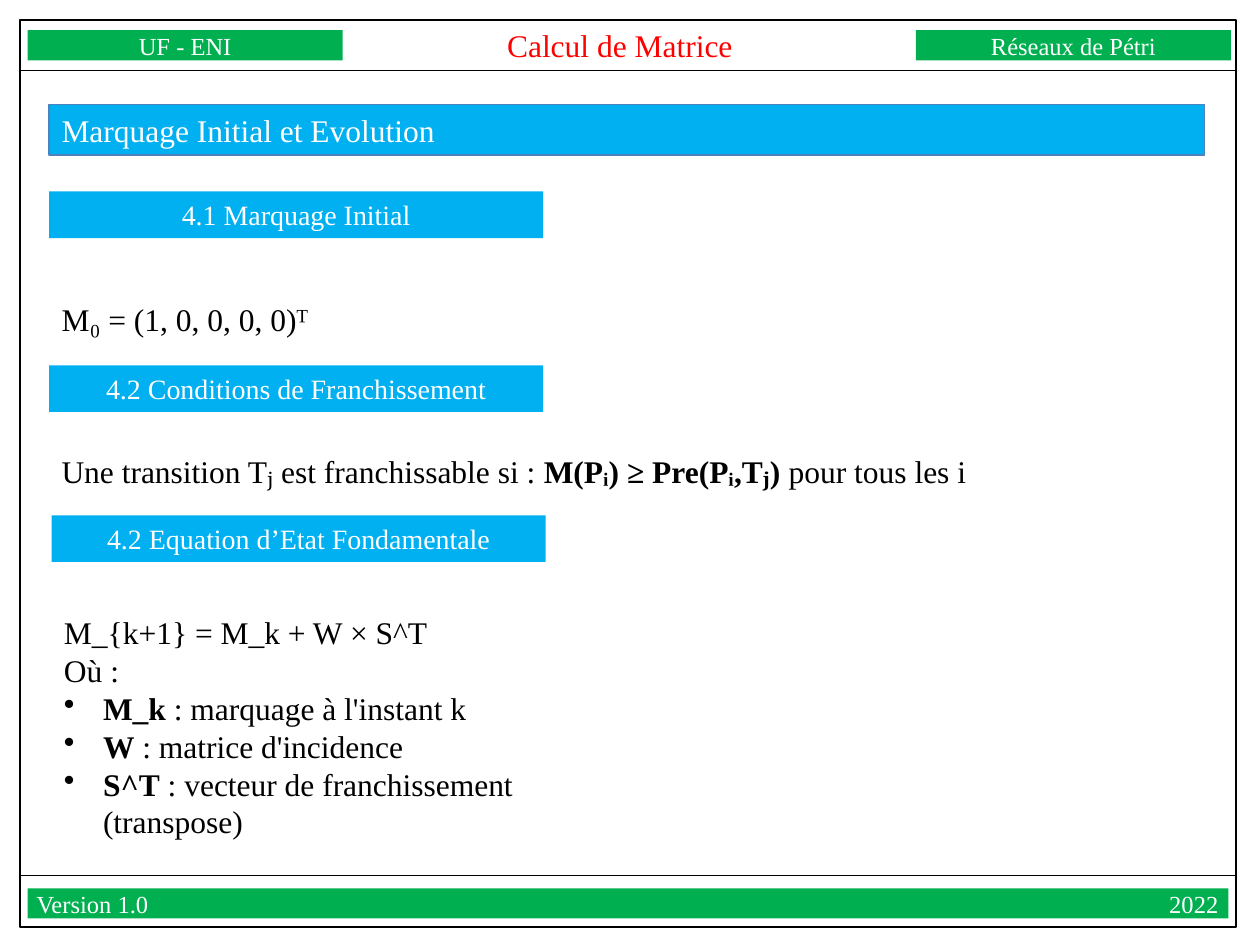
import pptx
import pptx.util
import pptx.dml.color
import pptx.enum.shapes
import pptx.enum.text
from dataclasses import dataclass
from lxml import etree
from pptx.oxml.ns import qn

Inches = pptx.util.Inches
Pt = pptx.util.Pt
Align = pptx.enum.text.PP_ALIGN
Anchor = pptx.enum.text.MSO_ANCHOR


@dataclass(frozen=True)
class Theme:
    font: str = "Times New Roman"
    green: str = "00B050"
    blue: str = "00B0F0"
    edge: str = "4F81BD"
    red: str = "FF0000"
    black: str = "000000"
    white: str = "FFFFFF"
    small: int = 14
    section: int = 16
    body: int = 18


theme = Theme()
color = pptx.dml.color.RGBColor.from_string

deck = pptx.Presentation()
deck.slide_width, deck.slide_height = Inches(10), Inches(7.5)
page = deck.slides.add_slide(deck.slide_layouts[6])


def add_bar(left, top, width, height, fill=None, line=None, weight=0.75):
    bar = page.shapes.add_shape(
        pptx.enum.shapes.MSO_SHAPE.RECTANGLE,
        Inches(left), Inches(top), Inches(width), Inches(height))
    bar.shadow.inherit = False
    if fill:
        bar.fill.solid()
        bar.fill.fore_color.rgb = color(fill)
    else:
        bar.fill.background()
    if line:
        bar.line.color.rgb = color(line)
        bar.line.width = Pt(weight)
    else:
        bar.line.fill.background()
    return bar


def write(box, lines, size, ink, align=Align.LEFT, spacing=None, tight=False):
    """Fill a box with lines of text; parts between ** marks are bold."""
    frame = box.text_frame
    frame.word_wrap = True
    frame.auto_size = pptx.enum.text.MSO_AUTO_SIZE.SHAPE_TO_FIT_TEXT
    frame.vertical_anchor = Anchor.MIDDLE if tight else Anchor.TOP
    if tight:
        frame.margin_left = frame.margin_right = 0
        frame.margin_top = frame.margin_bottom = 0
    for index, line in enumerate(lines):
        para = frame.paragraphs[0] if index == 0 else frame.add_paragraph()
        para.alignment = align
        if spacing and index == 0:
            para.line_spacing = spacing
        for part, words in enumerate(line.split("**")):
            if words:
                span = para.add_run()
                span.text = words
                span.font.name = theme.font
                span.font.size = Pt(size)
                span.font.bold = part % 2 == 1
                span.font.color.rgb = color(ink)


# Page frame and its two rules
add_bar(0.16, 0.16, 9.65, 7.2, line=theme.black, weight=1)
for y in (0.56, 6.95):
    rule = page.shapes.add_connector(
        pptx.enum.shapes.MSO_CONNECTOR.STRAIGHT,
        Inches(0.16), Inches(y), Inches(9.8), Inches(y))
    rule.line.color.rgb = color(theme.black)
    rule.line.width = Pt(0.75)
    etree.SubElement(rule._element.spPr, qn("a:effectLst"))

# Header
for left, label in ((0.22, "UF - ENI"), (7.27, "Réseaux de Pétri")):
    write(add_bar(left, 0.24, 2.5, 0.24, theme.green), [label],
          theme.small, theme.white, Align.CENTER, tight=True)
title = page.shapes.add_textbox(Inches(3.67), Inches(0.2), Inches(2.5), Inches(0.31))
write(title, ["Calcul de Matrice"], theme.body, theme.red, Align.CENTER, tight=True)

# Footer: version at the left, year on a right tab stop
footer = add_bar(0.22, 7.05, 9.53, 0.24, theme.green)
write(footer, ["Version 1.0\t2022"], theme.small, theme.white, tight=True)
footer.text_frame.margin_left = footer.text_frame.margin_right = Inches(0.07)
tabs = etree.SubElement(footer.text_frame.paragraphs[0]._p.get_or_add_pPr(), qn("a:tabLst"))
etree.SubElement(tabs, qn("a:tab"), pos=str(Inches(9.38)), algn="r")

# Headings
write(add_bar(0.39, 0.83, 9.17, 0.4, theme.blue, theme.edge),
      ["Marquage Initial et Evolution"], theme.body, theme.white)
for left, top, heading in (
    (0.39, 1.52, "4.1 Marquage Initial"),
    (0.39, 2.9, "4.2 Conditions de Franchissement"),
    (0.41, 4.09, "4.2 Equation d’Etat Fondamentale"),
):
    write(add_bar(left, top, 3.92, 0.37, theme.blue), [heading],
          theme.section, theme.white, Align.CENTER)

# Body texts
for left, top, width, height, lines in (
    (0.39, 2.18, 2.32, 0.51, ["M₀ = (1, 0, 0, 0, 0)ᵀ"]),
    (0.39, 3.39, 7.47, 0.51,
     ["Une transition Tⱼ est franchissable si : **M(Pᵢ) ≥ Pre(Pᵢ,Tⱼ)** pour tous les i"]),
    (0.41, 4.67, 3.9, 2.47,
     ["M_{k+1} = M_k + W × S^T",
      "Où :",
      "**M_k** : marquage à l'instant k",
      "**W** : matrice d'incidence",
      "**S^T** : vecteur de franchissement (transpose)"]),
):
    box = page.shapes.add_textbox(Inches(left), Inches(top), Inches(width), Inches(height))
    write(box, lines, theme.body, theme.black, spacing=1.5)
    for para in box.text_frame.paragraphs[2:]:
        properties = para._p.get_or_add_pPr()
        properties.set("marL", str(Inches(0.31)))
        properties.set("indent", str(-Inches(0.31)))
        etree.SubElement(properties, qn("a:buChar"), char="•")

deck.save("out.pptx")
